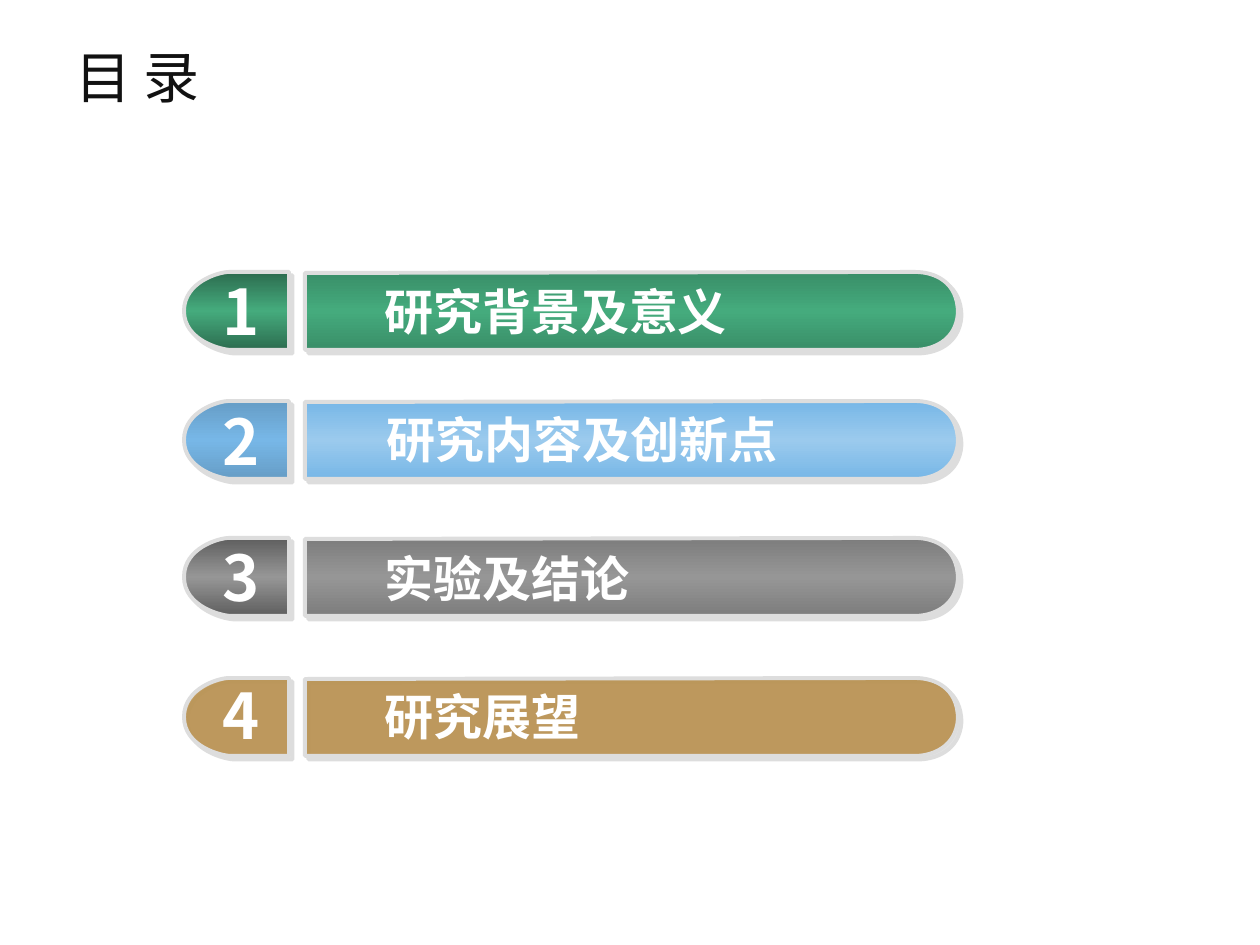
from dataclasses import dataclass
from copy import deepcopy

from pptx import Presentation
from pptx.dml.color import RGBColor
from pptx.enum.text import MSO_ANCHOR, MSO_AUTO_SIZE, PP_ALIGN
from pptx.oxml import parse_xml
from pptx.oxml.ns import nsdecls, qn
from pptx.util import Pt

EMU_PER_PX = 914400 / 126
SLIDE_WIDTH, SLIDE_HEIGHT = 1260, 945
LEFT, CENTER = PP_ALIGN.LEFT, PP_ALIGN.CENTER
TOP, MIDDLE = MSO_ANCHOR.TOP, MSO_ANCHOR.MIDDLE
FIT_SHAPE, FIT_NONE = MSO_AUTO_SIZE.SHAPE_TO_FIT_TEXT, MSO_AUTO_SIZE.NONE


@dataclass(frozen=True)
class Theme:
    font: str = "Noto Sans CJK SC"
    title_color: str = "111111"
    text_color: str = "FFFFFF"
    border: str = "DDDDDD"
    text_shadow: str = "000000"
    title_size: int = 32
    label_size: int = 28
    number_size: int = 36
    border_width: float = 2.25


@dataclass(frozen=True)
class Section:
    label: str
    top: int
    number_top: int
    label_left: int
    label_top: int
    bar_colors: tuple  # (edge, middle) of the gradient, or one plain colour
    cap_colors: tuple
    opacity: int = 100


SECTIONS = [
    Section("研究背景及意义", 272, 266, 372, 275,
            ("398E68", "45AB7D"), ("2C6C4F", "45AB7D")),
    Section("研究内容及创新点", 401, 396, 374, 403,
            ("77B7E7", "9BCAED"), ("669DC6", "77B7E7")),
    Section("实验及结论", 538, 532, 372, 542,
            ("7D7D7D", "969696"), ("5F5F5F", "969696")),
    Section("研究展望", 678, 670, 372, 680, ("B28235",), ("B28235",), 77),
]

# Outlines from the top of a row: one point is a line, three are a Bézier curve.
BAR_OUTLINE = [
    [(305, 1)],
    [(305, 78)],
    [(326, 78), (897, 78), (915, 78)],
    [(931, 78), (956, 70), (958, 41)],
    [(958, 10), (935, 0), (915, 0)],
    [(895, 0), (326, 1), (305, 1)],
]
CAP_OUTLINE = [
    [(289, 0)],
    [(289, 78)],
    [(231, 78)],
    [(222, 78), (184, 69), (184, 39)],
    [(184, 10), (219, 0), (229, 0)],
    [(289, 0)],
]


def px(length):
    return round(length * EMU_PER_PX)


def outer_shadow(color, distance, opacity=100):
    return parse_xml(
        f'<a:outerShdw {nsdecls("a")} blurRad="0" dist="{Pt(distance)}" '
        f'dir="2700000" algn="ctr" rotWithShape="0"><a:srgbClr val="{color}">'
        f'<a:alpha val="{opacity * 1000}"/></a:srgbClr></a:outerShdw>')


def set_all(target, values):
    for name, value in values.items():
        setattr(target, name, value)


def merge_curves(path_element, segments):
    """Turn each run of three line points into one cubic Bézier."""
    lines = iter(path_element.findall(qn("a:lnTo")))
    for segment in segments:
        steps = [next(lines) for _ in segment]
        if len(steps) == 3:
            curve = parse_xml(f'<a:cubicBezTo {nsdecls("a")}/>')
            steps[0].addprevious(curve)
            for step in steps:
                curve.append(step[0])
                path_element.remove(step)


class SlideBuilder:
    def __init__(self, slide, theme):
        self.slide = slide
        self.theme = theme

    def text(self, words, box, size, color, bold=False, align=LEFT,
             anchor=TOP, wrap=True, fit=FIT_SHAPE, shadow=False):
        frame = self.slide.shapes.add_textbox(*map(px, box)).text_frame
        set_all(frame, {"word_wrap": wrap, "auto_size": fit,
                        "vertical_anchor": anchor})
        paragraph = frame.paragraphs[0]
        paragraph.alignment = align
        run = paragraph.add_run()
        run.text = words
        set_all(run.font, {"name": self.theme.font, "size": Pt(size), "bold": bold})
        run.font.color.rgb = RGBColor.from_string(color)
        properties = run.font._element
        properties.find(qn("a:latin")).addnext(
            parse_xml(f'<a:ea {nsdecls("a")} typeface="{self.theme.font}"/>'))
        if shadow:
            effects = parse_xml(f'<a:effectLst {nsdecls("a")}/>')
            effects.append(outer_shadow(self.theme.text_shadow, 2, 50))
            properties.find(qn("a:solidFill")).addnext(effects)

    def panel(self, outline, top, colors, opacity):
        """Draw a curved outline with a pale border and an offset shadow."""
        start, *segments = [[(x, y + top) for x, y in part] for part in outline]
        builder = self.slide.shapes.build_freeform(*start[0], scale=EMU_PER_PX)
        builder.add_line_segments([point for part in segments for point in part])
        shape = builder.convert_to_shape()
        merge_curves(shape._element.find(".//" + qn("a:path")), segments)
        self.paint(shape.fill, shape._element.spPr, colors, opacity)
        shape.line.color.rgb = RGBColor.from_string(self.theme.border)
        shape.line.width = Pt(self.theme.border_width)
        shape.shadow.inherit = False
        shape._element.spPr.find(qn("a:effectLst")).append(
            outer_shadow(self.theme.border, 2.8))

    def paint(self, fill, properties, colors, opacity):
        if len(colors) == 1:
            fill.solid()
            fill.fore_color.rgb = RGBColor.from_string(colors[0])
            properties.find(qn("a:solidFill"))[0].append(parse_xml(
                f'<a:alpha {nsdecls("a")} val="{opacity * 1000}"/>'))
            return
        edge, middle = colors
        fill.gradient()
        fill.gradient_angle = 270
        stops = properties.find(".//" + qn("a:gsLst"))
        stops.append(deepcopy(stops[0]))
        for stop, position, color in zip(fill.gradient_stops, (0, 0.5, 1),
                                         (edge, middle, edge)):
            stop.position = position
            stop.color.rgb = RGBColor.from_string(color)

    def section(self, number, section):
        theme = self.theme
        self.panel(BAR_OUTLINE, section.top, section.bar_colors, section.opacity)
        self.panel(CAP_OUTLINE, section.top, section.cap_colors, section.opacity)
        self.text(str(number), (210, section.number_top, 53, 88),
                  theme.number_size, theme.text_color, bold=True,
                  align=CENTER, wrap=False, shadow=True)
        label_box = (section.label_left, section.label_top,
                     958 - section.label_left, 72)
        self.text(section.label, label_box, theme.label_size,
                  theme.text_color, bold=True, shadow=True)


def main():
    presentation = Presentation()
    set_all(presentation, {"slide_width": px(SLIDE_WIDTH),
                           "slide_height": px(SLIDE_HEIGHT)})
    theme = Theme()
    blank = presentation.slide_layouts[6]
    contents = SlideBuilder(presentation.slides.add_slide(blank), theme)
    contents.text("目 录", (63, 38, 1134, 77), theme.title_size,
                  theme.title_color, anchor=MIDDLE, fit=FIT_NONE)
    for number, section in enumerate(SECTIONS, start=1):
        contents.section(number, section)
    presentation.save("out.pptx")


if __name__ == "__main__":
    main()
